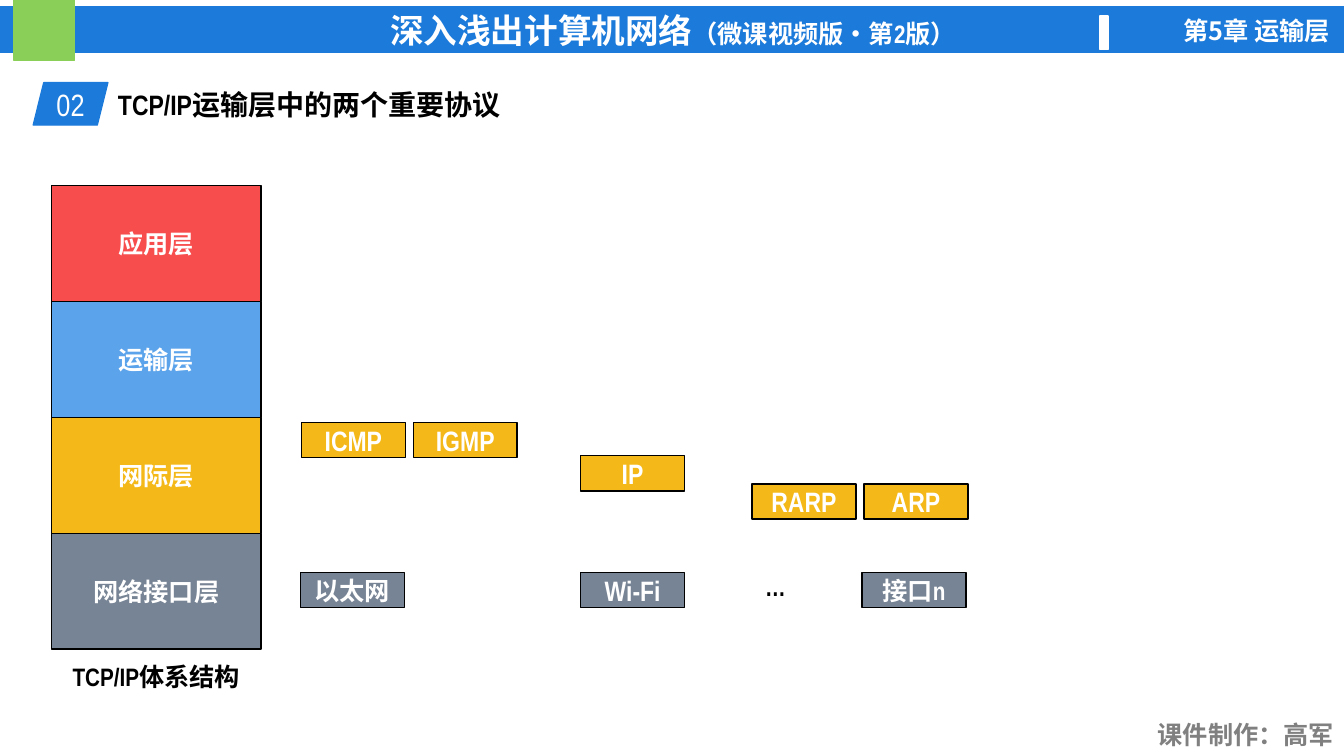
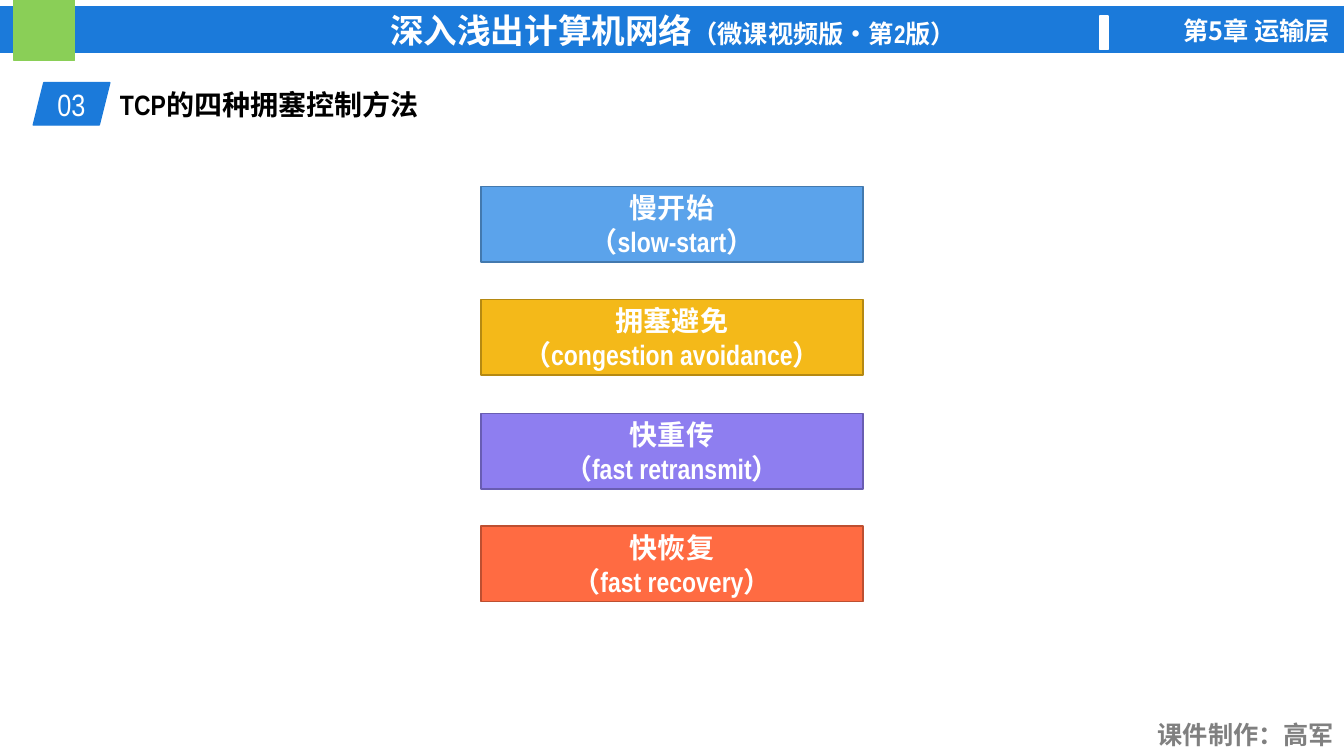
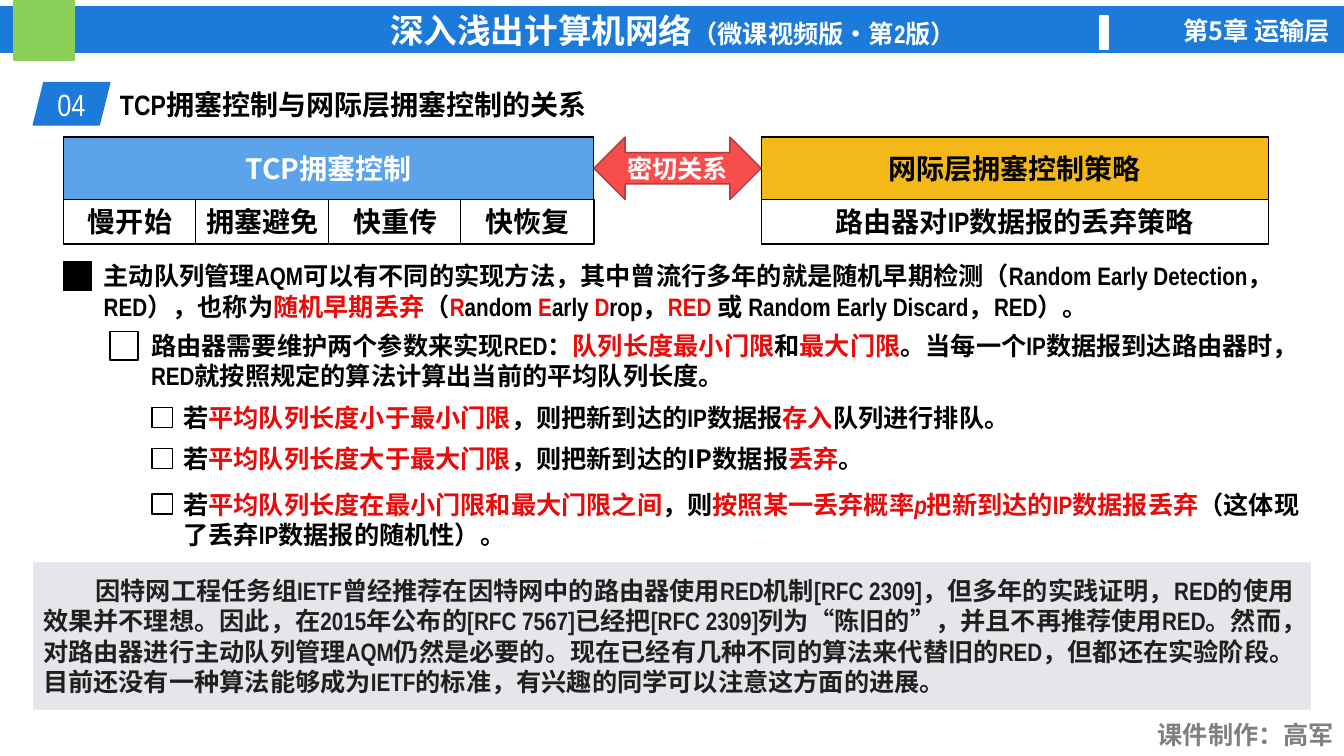
from dataclasses import dataclass
from typing import Any, NamedTuple

import pptx
import pptx.dml.color
import pptx.enum.lang
import pptx.enum.shapes
import pptx.enum.text
import pptx.oxml.ns
import pptx.util

PX = 9144
SHAPE = pptx.enum.shapes.MSO_SHAPE
ALIGN = pptx.enum.text.PP_ALIGN
ANCHOR = pptx.enum.text.MSO_ANCHOR
TITLE_ONLY = 5


@dataclass(frozen=True)
class Theme:
    blue: str = "1B7ADA"
    green: str = "8ACF57"
    sky: str = "5BA3EB"
    amber: str = "F4B919"
    coral: str = "F84D4D"
    coral_edge: str = "B73939"
    slate: str = "778495"
    red: str = "EB0909"
    white: str = "FFFFFF"
    black: str = "000000"
    grey: str = "808080"
    panel: str = "E4E6EA"
    ink: str = "231F20"
    latin: str = "Arial Narrow"
    cjk: str = "Noto Sans CJK SC"
    book: int = 24
    tag: int = 22
    heading: int = 20
    body: int = 18


T = Theme()


class Run(NamedTuple):
    text: str
    color: str | None = None
    size: int | None = None
    italic: bool = False


Para = tuple[Run, ...]


@dataclass(frozen=True)
class Box:
    x: int
    y: int
    w: int
    h: int
    paras: tuple[Para, ...] = ()
    fill: str | None = None
    line: str | None = None
    color: str = T.white
    size: int = T.body
    font: str = T.latin
    bold: bool = True
    align: Any = ALIGN.CENTER
    anchor: Any = ANCHOR.MIDDLE
    pad: int = 0
    indent: int = 0
    shape: Any = SHAPE.RECTANGLE


class Topic(NamedTuple):
    number: str
    title: str
    tag_width: int


def set_all(target: Any, values: dict[str, Any]) -> None:
    for name, value in values.items():
        setattr(target, name, value)


def rgb(color: str) -> Any:
    return pptx.dml.color.RGBColor.from_string(color)


def one(text: str) -> tuple[Para, ...]:
    return ((Run(text),),)


def place(sp: Any, box: Box) -> None:
    set_all(sp, {"left": box.x * PX, "top": box.y * PX,
                 "width": box.w * PX, "height": box.h * PX})


def write_run(p: Any, run: Run, box: Box) -> None:
    r = p.add_run()
    r.text = run.text
    r.font.color.rgb = rgb(run.color or box.color)
    set_all(r.font, {
        "size": pptx.util.Pt(run.size or box.size),
        "name": box.font,
        "bold": box.bold,
        "italic": run.italic,
        "language_id": pptx.enum.lang.MSO_LANGUAGE_ID.SIMPLIFIED_CHINESE,
    })
    rpr = r._r.get_or_add_rPr()
    ea = rpr.makeelement(pptx.oxml.ns.qn("a:ea"), {"typeface": T.cjk})
    rpr.find(pptx.oxml.ns.qn("a:latin")).addnext(ea)


def write_text(sp: Any, box: Box) -> None:
    tf = sp.text_frame
    set_all(tf, {
        "word_wrap": True,
        "auto_size": pptx.enum.text.MSO_AUTO_SIZE.NONE,
        "vertical_anchor": box.anchor,
        "margin_left": box.pad * PX,
        "margin_right": box.pad * PX,
        "margin_top": 5 * PX,
        "margin_bottom": 5 * PX,
    })
    for i, runs in enumerate(box.paras):
        p = tf.add_paragraph() if i else tf.paragraphs[0]
        p.alignment = box.align
        if box.indent:
            p._p.get_or_add_pPr().set("indent", str(box.indent * PX))
        for run in runs:
            write_run(p, run, box)


def draw(s: Any, box: Box) -> Any:
    if box.fill or box.line:
        sp = s.shapes.add_shape(box.shape, 0, 0, 0, 0)
        sp.shadow.inherit = False
        if box.fill:
            sp.fill.solid()
            sp.fill.fore_color.rgb = rgb(box.fill)
        else:
            sp.fill.background()
        if box.line:
            sp.line.color.rgb = rgb(box.line)
            sp.line.width = pptx.util.Pt(1)
        else:
            sp.line.fill.background()
    else:
        sp = s.shapes.add_textbox(0, 0, 0, 0)
    place(sp, box)
    if box.paras:
        write_text(sp, box)
    return sp


def label(x: int, y: int, w: int, text: str, color: str, **extra: Any) -> Box:
    return Box(x, y, w, 40, one(text), color=color, anchor=ANCHOR.TOP, pad=10, **extra)


def prose(x: int, y: int, w: int, h: int, *runs: Run, **extra: Any) -> Box:
    values = {"color": T.black, "align": ALIGN.LEFT, "pad": 10} | extra
    return Box(x, y, w, h, (runs,), **values)


def red(text: str, italic: bool = False) -> Run:
    return Run(text, T.red, italic=italic)


def add_frame(s: Any, layout: Any) -> None:
    book = (Run("深入浅出计算机网络", size=T.book), Run("（微课视频版•第2版）"))
    frame = (
        Box(0, 7, 1335, 45, (book,), T.blue, T.blue),
        Box(14, 0, 60, 60, fill=T.green, line=T.green),
        Box(1091, 16, 8, 33, fill=T.white, line=T.white),
        label(1111, 10, 218, "第5章 运输层", T.white, font=T.cjk, align=ALIGN.RIGHT),
        label(1134, 709, 199, "课件制作：高军", T.grey, align=ALIGN.RIGHT),
    )
    for i, box in enumerate(frame):
        sp = draw(s, box)
        sp.element.nvSpPr.cNvPr.set("id", str(100 + i))
        layout.shapes.element.append(sp.element)


def add_topic(s: Any, topic: Topic) -> None:
    draw(s, Box(33, 82, topic.tag_width, 42, one(topic.number), T.blue, T.blue,
                size=T.tag, bold=False, shape=SHAPE.PARALLELOGRAM))
    left = 33 + topic.tag_width
    title = Box(left, 82, 710 - left, 44, one(topic.title), color=T.black,
                size=T.heading, align=ALIGN.LEFT, anchor=ANCHOR.TOP, pad=10)
    place(s.shapes.title, title)
    write_text(s.shapes.title, title)


def add_layers(s: Any) -> None:
    layers = (("应用层", T.coral), ("运输层", T.sky), ("网际层", T.amber), ("网络接口层", T.slate))
    for i, (name, fill) in enumerate(layers):
        draw(s, Box(51, 184 + 115 * i, 208, 115, one(name), fill, T.black))
    draw(s, label(51, 651, 208, "TCP/IP体系结构", T.black))

    protocols = (
        ("ICMP", 299, 419, T.amber, T.heading),
        ("IGMP", 410, 419, T.amber, T.heading),
        ("IP", 576, 452, T.amber, T.heading),
        ("RARP", 746, 480, T.amber, T.heading),
        ("ARP", 857, 480, T.amber, T.heading),
        ("以太网", 298, 568, T.slate, T.body),
        ("Wi-Fi", 576, 568, T.slate, T.heading),
        ("接口n", 855, 568, T.slate, T.body),
    )
    for name, x, y, fill, size in protocols:
        draw(s, Box(x, y, 103, 35, one(name), fill, T.black, size=size))
    draw(s, label(697, 562, 144, "…", T.black))


def add_methods(s: Any) -> None:
    methods = (
        ("慢开始", "（slow-start）", T.sky, "4379AE"),
        ("拥塞避免", "（congestion avoidance）", T.amber, "B58912"),
        ("快重传", "（fast retransmit）", "8E7EF0", "695DB2"),
        ("快恢复", "（fast recovery）", "FF6B42", "BD4F31"),
    )
    for i, (name, english, fill, line) in enumerate(methods):
        draw(s, Box(477, 185 + 225 * i // 2, 379, 75, one(name) + one(english),
                    fill, line, size=T.heading))


def add_relation(s: Any) -> None:
    for i, name in enumerate(("慢开始", "拥塞避免", "快重传", "快恢复")):
        draw(s, Box(63 + 526 * i // 4, 198, 132, 44, one(name), T.white, T.black,
                    color=T.black, size=T.heading))
    boxes = (
        Box(755, 198, 503, 44, one("路由器对IP数据报的丢弃策略"), T.white, T.black,
            color=T.black, size=T.heading),
        Box(755, 136, 503, 62, one("网际层拥塞控制策略"), T.amber, T.black,
            color=T.black, size=T.heading, font=T.cjk),
        Box(63, 136, 526, 62, one("TCP拥塞控制"), T.sky, T.black,
            size=T.heading, font=T.cjk),
        Box(589, 136, 166, 62, one("密切关系"), T.coral, T.coral_edge,
            shape=SHAPE.LEFT_RIGHT_ARROW),
        Box(63, 260, 28, 28, fill=T.black, line=T.black),
        Box(109, 329, 28, 28, line=T.black),
        *(Box(151, y, 20, 20, line=T.black) for y in (404, 445, 490)),
        prose(93, 251, 1212, 75,
              Run("主动队列管理AQM可以有不同的实现方法，其中曾流行多年的就是随机早期检测"
                  "（Random Early Detection，RED），也称为"),
              red("随机早期丢弃"), Run("（"), red("R"), Run("andom "), red("E"),
              Run("arly "), red("D"), Run("rop，"), red("RED "),
              Run("或 Random Early Discard，RED）。"), fill=T.white),
        prose(140, 320, 1160, 75,
              Run("路由器需要维护两个参数来实现RED："), red("队列长度最小门限"),
              Run("和"), red("最大门限"),
              Run("。当每一个IP数据报到达路由器时，RED就按照规定的算法计算出当前的平均队列长度。")),
        prose(172, 397, 1128, 34,
              Run("若"), red("平均队列长度小于最小门限"), Run("，则把新到达的IP数据报"),
              red("存入"), Run("队列进行排队。")),
        prose(172, 438, 1128, 34,
              Run("若"), red("平均队列长度大于最大门限"), Run("，则把新到达的IP数据报"),
              red("丢弃"), Run("。"), font=T.cjk),
        prose(172, 482, 1128, 66,
              Run("若"), red("平均队列长度在最小门限和最大门限之间"), Run("，则"),
              red("按照某一丢弃概率"), red("p", italic=True), red("把新到达的IP数据报丢弃"),
              Run("（这体现了丢弃IP数据报的随机性）。")),
        prose(33, 558, 1267, 146,
              Run("因特网工程任务组IETF曾经推荐在因特网中的路由器使用RED机制[RFC 2309]，"
                  "但多年的实践证明，RED的使用效果并不理想。因此，在2015年公布的[RFC 7567]"
                  "已经把[RFC 2309]列为“陈旧的”，并且不再推荐使用RED。然而，对路由器进行"
                  "主动队列管理AQM仍然是必要的。现在已经有几种不同的算法来代替旧的RED，"
                  "但都还在实验阶段。目前还没有一种算法能够成为IETF的标准，"
                  "有兴趣的同学可以注意这方面的进展。"),
              fill=T.panel, line=T.panel, color=T.ink, indent=52),
    )
    for box in boxes:
        draw(s, box)


def main() -> None:
    prs = pptx.Presentation()
    set_all(prs, {"slide_width": 1333 * PX, "slide_height": 750 * PX})
    layout = prs.slide_layouts[TITLE_ONLY]
    pages = (
        (Topic("02", "TCP/IP运输层中的两个重要协议", 74), add_layers),
        (Topic("03", "TCP的四种拥塞控制方法", 76), add_methods),
        (Topic("04", "TCP拥塞控制与网际层拥塞控制的关系", 76), add_relation),
    )
    for i, (topic, add_content) in enumerate(pages):
        s = prs.slides.add_slide(layout)
        if i == 0:
            add_frame(s, layout)
        add_topic(s, topic)
        add_content(s)
    prs.save("out.pptx")


if __name__ == "__main__":
    main()
